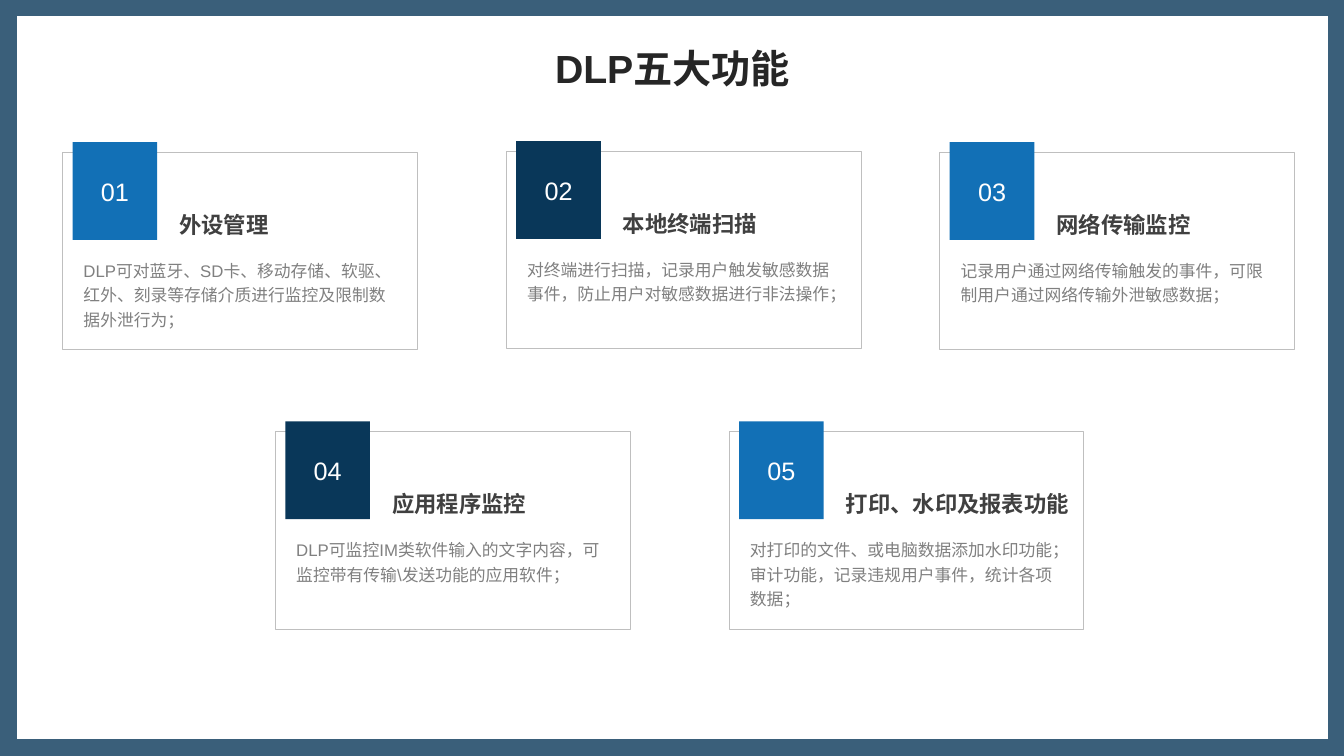
from lxml.etree import SubElement
from pptx import Presentation
from pptx.dml.color import RGBColor
from pptx.enum.shapes import MSO_SHAPE
from pptx.enum.text import MSO_ANCHOR, MSO_AUTO_SIZE, PP_ALIGN
from pptx.oxml.ns import qn
from pptx.util import Inches, Pt

WHITE = RGBColor(0xFF, 0xFF, 0xFF)
NAVY = RGBColor(0x09, 0x37, 0x59)
BLUE = RGBColor(0x12, 0x70, 0xB6)
BORDER = RGBColor(0xBF, 0xBF, 0xBF)
TITLE_INK = RGBColor(0x26, 0x26, 0x26)
HEADING_INK = RGBColor(0x40, 0x40, 0x40)
BODY_INK = RGBColor(0x80, 0x80, 0x80)

FUNCTIONS = [
    (0.62, 1.51, 1.81, 0.83, "外设管理",
     "DLP可对蓝牙、SD卡、移动存储、软驱、红外、刻录等存储介质进行监控及限制数据外泄行为；"),
    (5.02, 1.5, 1.81, 0.59, "本地终端扫描",
     "对终端进行扫描，记录用户触发敏感数据事件，防止用户对敏感数据进行非法操作；"),
    (9.32, 1.51, 1.81, 0.59, "网络传输监控",
     "记录用户通过网络传输触发的事件，可限制用户通过网络传输外泄敏感数据；"),
    (2.73, 4.28, 1.81, 0.59, "应用程序监控",
     "DLP可监控IM类软件输入的文字内容，可监控带有传输\\发送功能的应用软件；"),
    (7.23, 4.28, 2.47, 0.83, "打印、水印及报表功能",
     "对打印的文件、或电脑数据添加水印功能；\n审计功能，记录违规用户事件，统计各项数据；"),
]


def write_text(frame, text, size, color, bold=False, align=PP_ALIGN.LEFT, spacing=None):
    """Fill a text frame with uniformly styled paragraphs."""
    frame.word_wrap = True
    frame.text = text
    for paragraph in frame.paragraphs:
        paragraph.alignment = align
        paragraph.line_spacing = spacing
        paragraph.font.name = "Arial"
        paragraph.font.size = Pt(size)
        paragraph.font.bold = bold
        paragraph.font.color.rgb = color


def add_rect(shapes, left, top, width, height, fill=None, line=None):
    """Add a flat rectangle with an optional fill and thin outline."""
    rect = shapes.add_shape(MSO_SHAPE.RECTANGLE, Inches(left), Inches(top),
                            Inches(width), Inches(height))
    rect.shadow.inherit = False
    if fill is None:
        rect.fill.background()
    else:
        rect.fill.solid()
        rect.fill.fore_color.rgb = fill
    if line is None:
        rect.line.fill.background()
    else:
        rect.line.color.rgb = line
        rect.line.width = Pt(0.5)
    return rect


def add_label(shapes, left, top, width, height, *text, **style):
    """Add a wrapping text box that grows with its text."""
    label = shapes.add_textbox(Inches(left), Inches(top), Inches(width), Inches(height))
    write_text(label.text_frame, *text, **style)
    label.text_frame.auto_size = MSO_AUTO_SIZE.SHAPE_TO_FIT_TEXT


def add_frame(shapes):
    """Draw the translucent navy border around a white page."""
    border = add_rect(shapes, 0, 0, 13.33, 7.5, NAVY)
    color = border.fill._xPr.find(qn("a:solidFill"))[0]
    SubElement(color, qn("a:alpha"), val="80000")
    add_rect(shapes, 0.17, 0.16, 13, 7.17, WHITE)


def add_card(slide, number, left, top, heading_width, body_height, heading, body):
    """Add one numbered function card as a group."""
    card = slide.shapes.add_group_shape().shapes
    add_rect(card, left, top, 3.52, 1.96, line=BORDER)
    badge = add_rect(card, left + 0.1, top - 0.1, 0.84, 0.97, BLUE if number % 2 else NAVY)
    badge.text_frame.vertical_anchor = MSO_ANCHOR.MIDDLE
    write_text(badge.text_frame, f"{number:02}", 18, WHITE, align=PP_ALIGN.CENTER)
    add_label(card, left + 1.06, top + 0.48, heading_width, 0.4,
              heading, 16, HEADING_INK, bold=True, spacing=1.2)
    add_label(card, left + 0.11, top + 0.99, 3.27, body_height,
              body, 12, BODY_INK, spacing=1.2)


def main():
    """Build and save the slide of DLP functions."""
    deck = Presentation()
    deck.slide_width, deck.slide_height = Inches(13.33), Inches(7.5)
    slide = deck.slides.add_slide(deck.slide_layouts[6])
    add_frame(slide.shapes)
    add_label(slide.shapes, 5.39, 0.39, 2.56, 0.57, "DLP五大功能", 28, TITLE_INK,
              bold=True, align=PP_ALIGN.CENTER)
    for number, function in enumerate(FUNCTIONS, 1):
        add_card(slide, number, *function)
    deck.save("out.pptx")


if __name__ == "__main__":
    main()
